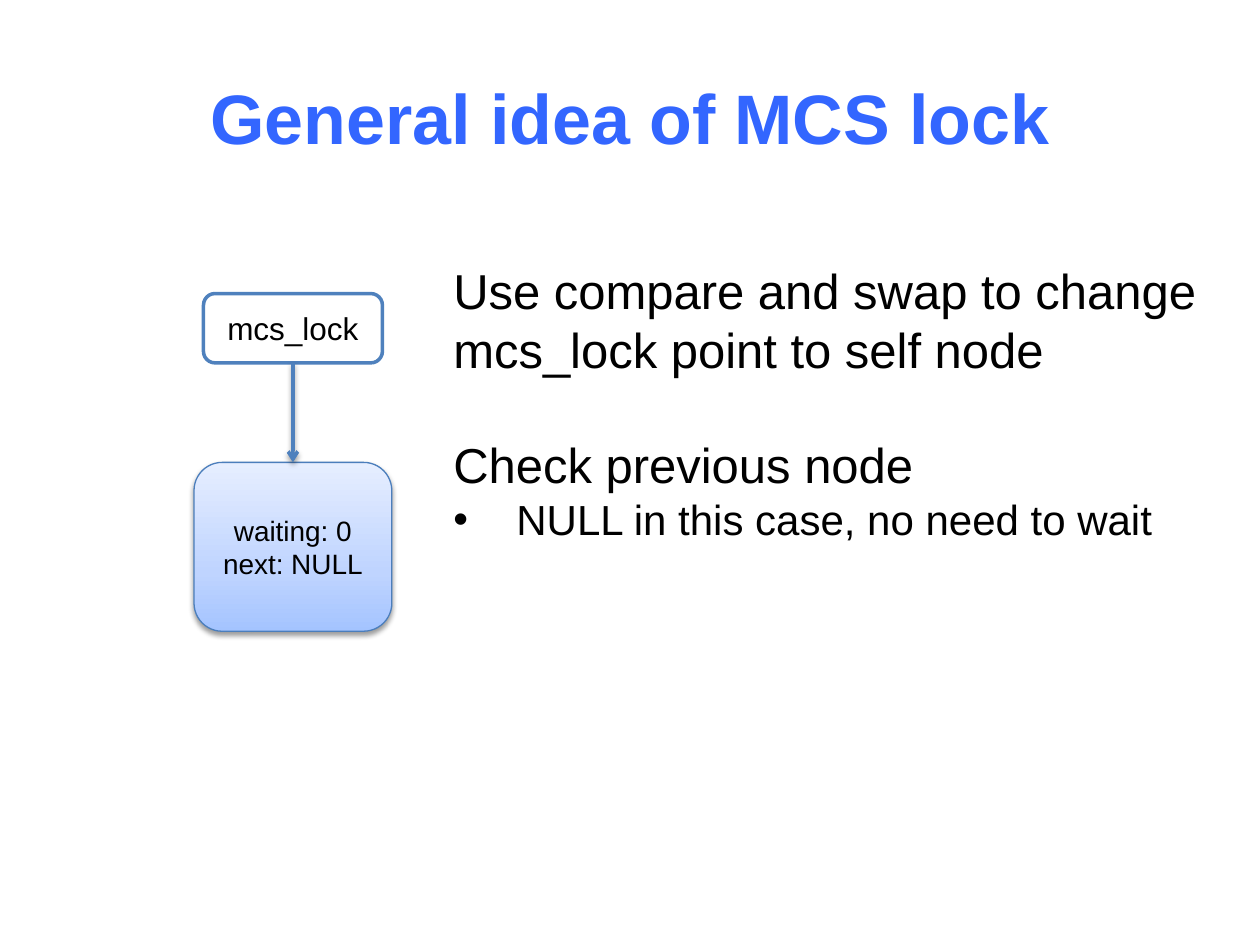
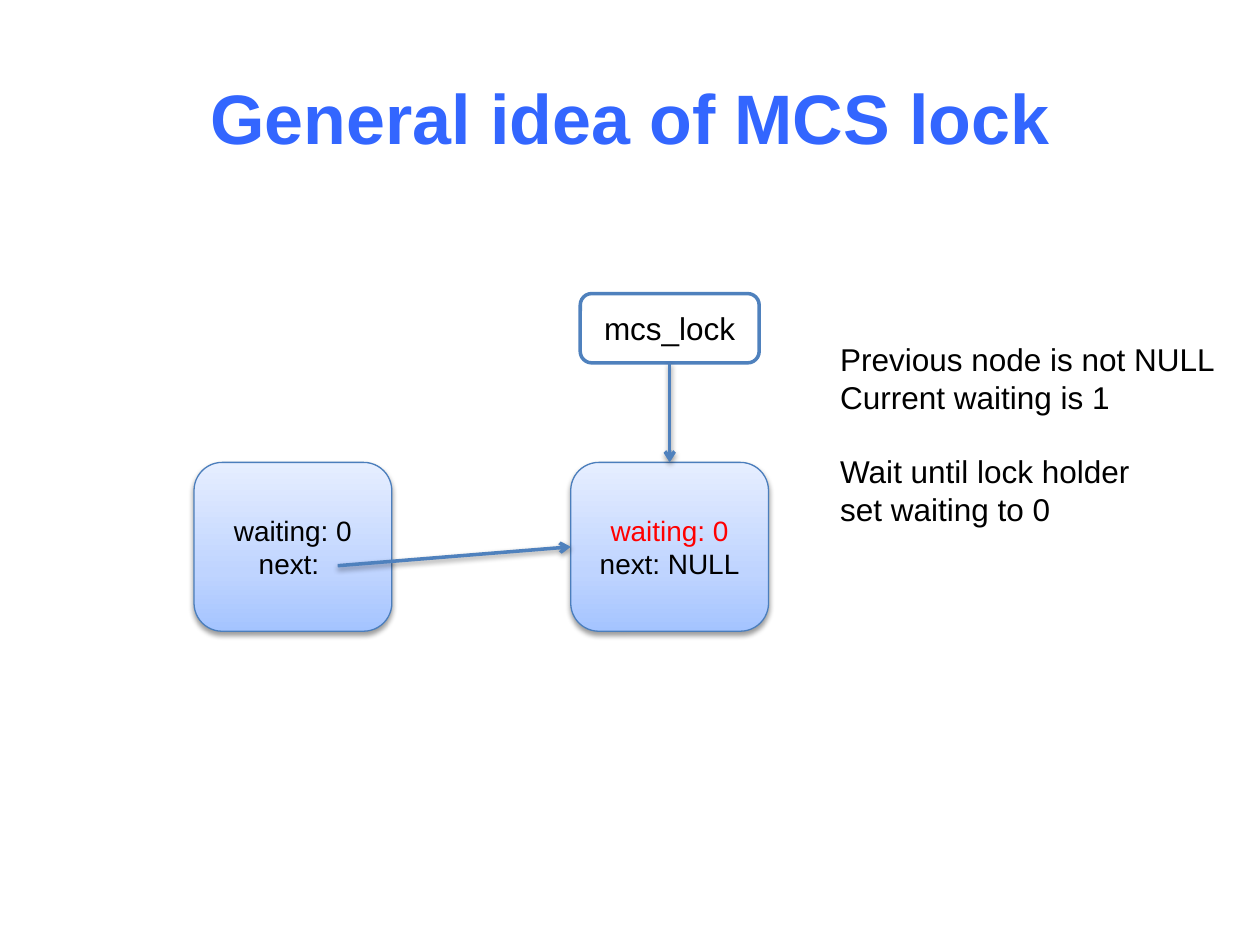
from copy import deepcopy

from pptx import Presentation
from pptx.dml.color import RGBColor
from pptx.enum.shapes import MSO_CONNECTOR, MSO_SHAPE
from pptx.enum.text import MSO_ANCHOR, PP_ALIGN
from pptx.oxml import parse_xml
from pptx.oxml.ns import nsdecls, qn
from pptx.util import Inches, Pt

TITLE_BLUE = RGBColor(0x33, 0x66, 0xFF)
LINE_BLUE = RGBColor(0x4F, 0x81, 0xBD)
NODE_LINE = RGBColor(0x4B, 0x7E, 0xBC)
BLACK = RGBColor(0, 0, 0)
RED = RGBColor(0xFF, 0, 0)
WHITE = RGBColor(0xFF, 0xFF, 0xFF)
NODE_STOPS = [
    (0, RGBColor(0xA4, 0xC4, 0xFF)),
    (0.35, RGBColor(0xBF, 0xD4, 0xFF)),
    (1, RGBColor(0xE6, 0xEE, 0xFF)),
]
FONT = "Arial"
TITLE = "General idea of MCS lock"
NODE_WIDTH, NODE_HEIGHT, NODE_TOP = 1.57, 1.34, 3.67
LOCK_WIDTH, LOCK_HEIGHT, LOCK_TOP = 1.42, 0.55, 2.33
FIRST_NODE, SECOND_NODE = 1.54, 4.53


def add_run(paragraph, text, size, color=BLACK, bold=False):
    """Add one formatted run to a paragraph."""
    run = paragraph.add_run()
    run.text = text
    run.font.name = FONT
    run.font.size = Pt(size)
    run.font.bold = bold
    run.font.color.rgb = color


def add_paragraph(frame, index):
    """Return the first paragraph of a frame, or a new one."""
    return frame.add_paragraph() if index else frame.paragraphs[0]


def add_shadow(element):
    """Give a shape or connector a soft shadow below it."""
    properties = element.spPr
    for effects in properties.findall(qn("a:effectLst")):
        properties.remove(effects)
    properties.append(parse_xml(
        f'<a:effectLst {nsdecls("a")}>'
        f'<a:outerShdw blurRad="{Pt(3.1)}" dist="{Pt(1.6)}" dir="5400000" rotWithShape="0">'
        '<a:srgbClr val="000000"><a:alpha val="38000"/></a:srgbClr>'
        '</a:outerShdw></a:effectLst>'))


def add_title(slide):
    """Add the centred slide title."""
    box = slide.shapes.add_textbox(Inches(0.5), Inches(0.3), Inches(9), Inches(1.25))
    frame = box.text_frame
    frame.word_wrap = True
    frame.vertical_anchor = MSO_ANCHOR.MIDDLE
    paragraph = frame.paragraphs[0]
    paragraph.alignment = PP_ALIGN.CENTER
    add_run(paragraph, TITLE, 40, TITLE_BLUE, bold=True)


def add_rounded_box(slide, left, top, width, height, lines, size):
    """Add a rounded box with centred lines of (text, colour)."""
    shape = slide.shapes.add_shape(
        MSO_SHAPE.ROUNDED_RECTANGLE,
        Inches(left), Inches(top), Inches(width), Inches(height))
    shape.shadow.inherit = False
    frame = shape.text_frame
    frame.vertical_anchor = MSO_ANCHOR.MIDDLE
    for index, (text, color) in enumerate(lines):
        paragraph = add_paragraph(frame, index)
        paragraph.alignment = PP_ALIGN.CENTER
        add_run(paragraph, text, size, color)
    return shape


def add_node(slide, left, waiting, following, waiting_color=BLACK):
    """Add a queue node with its two fields."""
    node = add_rounded_box(
        slide, left, NODE_TOP, NODE_WIDTH, NODE_HEIGHT,
        [(waiting, waiting_color), (following, BLACK)], 16)
    node.fill.gradient()
    node.fill.gradient_angle = 90
    stop_list = node.element.spPr.find(qn("a:gradFill")).find(qn("a:gsLst"))
    stop_list.append(deepcopy(stop_list[0]))
    for stop, (position, color) in zip(node.fill.gradient_stops, NODE_STOPS):
        stop.position = position
        stop.color.rgb = color
    node.line.color.rgb = NODE_LINE
    node.line.width = Pt(0.75)
    add_shadow(node.element)


def add_arrow(slide, start, end):
    """Add a shadowed arrow between two points."""
    arrow = slide.shapes.add_connector(
        MSO_CONNECTOR.STRAIGHT, *(Inches(value) for value in (*start, *end)))
    arrow.line.color.rgb = LINE_BLUE
    arrow.line.width = Pt(2)
    arrow.line._get_or_add_ln().append(
        parse_xml(f'<a:tailEnd {nsdecls("a")} type="arrow"/>'))
    add_shadow(arrow.element)


def add_lock(slide, node_left):
    """Add the lock centred above a node, with its pointer."""
    center = node_left + NODE_WIDTH / 2
    lock = add_rounded_box(
        slide, center - LOCK_WIDTH / 2, LOCK_TOP, LOCK_WIDTH, LOCK_HEIGHT,
        [("mcs_lock", BLACK)], 18)
    lock.fill.solid()
    lock.fill.fore_color.rgb = WHITE
    lock.line.color.rgb = LINE_BLUE
    lock.line.width = Pt(2)
    add_arrow(slide, (center, LOCK_TOP + LOCK_HEIGHT), (center, NODE_TOP))


def add_explanation(slide, left, top, width, height, groups, size):
    """Add groups of lines set apart by one line, and return the frame."""
    box = slide.shapes.add_textbox(
        Inches(left), Inches(top), Inches(width), Inches(height))
    frame = box.text_frame
    frame.word_wrap = False
    for group_index, group in enumerate(groups):
        for line_index, text in enumerate(group):
            paragraph = add_paragraph(frame, group_index + line_index)
            if group_index and not line_index:
                paragraph.space_before = Pt(size * 1.15)
            add_run(paragraph, text, size)
    return frame


def add_bullet(frame, text, size):
    """Append a bulleted line to a frame."""
    paragraph = frame.add_paragraph()
    properties = paragraph._p.get_or_add_pPr()
    properties.set("marL", str(Inches(0.5)))
    properties.set("indent", str(-Inches(0.5)))
    properties.append(parse_xml(f'<a:buFont {nsdecls("a")} typeface="{FONT}"/>'))
    properties.append(parse_xml(f'<a:buChar {nsdecls("a")} char="•"/>'))
    add_run(paragraph, text, size)


def build_free_lock(slide):
    """Show a thread taking a free lock."""
    add_title(slide)
    add_node(slide, FIRST_NODE, "waiting: 0", "next: NULL")
    add_lock(slide, FIRST_NODE)
    frame = add_explanation(slide, 3.5, 2.02, 6.17, 2.39, [
        ["Use compare and swap to change", "mcs_lock point to self node"],
        ["Check previous node"],
    ], 28)
    add_bullet(frame, "NULL in this case, no need to wait", 24)


def build_held_lock(slide):
    """Show a second thread queueing behind the holder."""
    add_title(slide)
    add_node(slide, FIRST_NODE, "waiting: 0", "next: ")
    add_node(slide, SECOND_NODE, "waiting: 0", "next: NULL", RED)
    add_lock(slide, SECOND_NODE)
    add_explanation(slide, 6.57, 2.65, 3.2, 1.62, [
        ["Previous node is not NULL", "Current waiting is 1"],
        ["Wait until lock holder", "set waiting to 0"],
    ], 18)
    add_arrow(slide, (2.68, 4.49), (SECOND_NODE, NODE_TOP + NODE_HEIGHT / 2))


def main():
    """Build and save the presentation."""
    presentation = Presentation()
    presentation.slide_width = Inches(10)
    presentation.slide_height = Inches(7.5)
    for build in (build_free_lock, build_held_lock):
        build(presentation.slides.add_slide(presentation.slide_layouts[6]))
    presentation.save("out.pptx")


if __name__ == "__main__":
    main()
